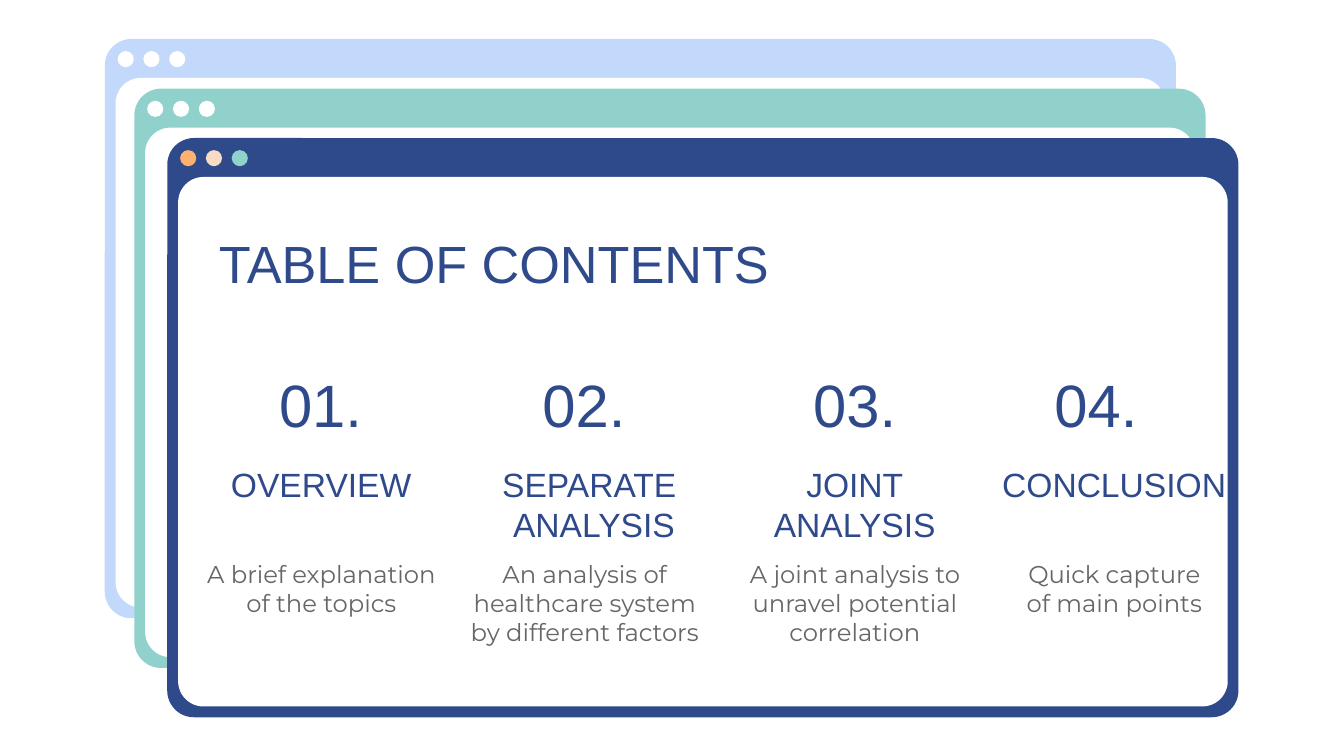
import dataclasses
import pptx
import pptx.util
import pptx.dml.color
import pptx.enum.shapes
import pptx.enum.text

# Grid: 100 columns by 56.25 rows of square cells
CELL = pptx.util.Inches(0.1)
COLS, ROWS = 100, 56.25


@dataclasses.dataclass(frozen=True)
class Theme:
    navy: str = "2F4A8A"
    teal: str = "90D1CB"
    sky: str = "C3D9FB"
    white: str = "FFFFFF"
    amber: str = "FFB172"
    peach: str = "F8DBC4"
    gray: str = "666666"
    sans: str = "Arial"
    body: str = "Montserrat"
    title: int = 28
    number: int = 32
    head: int = 18
    note: int = 13


THEME = Theme()
SHAPE = pptx.enum.shapes.MSO_SHAPE
ALIGN = pptx.enum.text.PP_ALIGN

# Left and top of each window, frame colour, dot colours
WINDOWS = [
    (7.8, 2.9, THEME.sky, [THEME.white] * 3),
    (10, 6.6, THEME.teal, [THEME.white] * 3),
    (12.45, 10.27, THEME.navy, [THEME.amber, THEME.peach, THEME.teal]),
]

# Middle and width of number, heading and note, with their words
TOPICS = [
    ("01.", 23.85, ["OVERVIEW"], 23.9, 20.8,
     "A brief explanation of the topics", 23.9, 20.8),
    ("02.", 43.45, ["SEPARATE ", "ANALYSIS"], 44.2, 26.4,
     "An analysis of healthcare system by different factors", 43.5, 20.8),
    ("03.", 63.6, ["JOINT", "ANALYSIS"], 63.6, 24.2,
     "A joint analysis to unravel potential correlation", 63.6, 20.8),
    ("04.", 81.55, ["CONCLUSION"], 82.9, 24.2,
     "Quick capture of main points", 82.9, 16.4),
]


def span(*cells):
    return [round(n * CELL) for n in cells]


def tint(code):
    return pptx.dml.color.RGBColor.from_string(code)


def add_form(group, kind, box, color, curve=None):
    form = group.shapes.add_shape(kind, *span(*box))
    form.shadow.inherit = False
    form.fill.solid()
    form.fill.fore_color.rgb = tint(color)
    form.line.fill.background()
    if curve is not None:
        form.adjustments[0] = curve


def add_window(slide, left, top, color, dots):
    group = slide.shapes.add_group_shape()
    add_form(group, SHAPE.ROUNDED_RECTANGLE,
             (left, top, 79.7, 43.1), color, 0.046)
    add_form(group, SHAPE.ROUNDED_RECTANGLE,
             (left + 0.8, top + 2.9, 78.1, 39.4), THEME.white, 0.048)
    for i, dot in enumerate(dots):
        add_form(group, SHAPE.OVAL,
                 (left + 0.95 + 1.92 * i, top + 0.9, 1.2, 1.2), dot)


def add_text(slide, box, lines, size, color=THEME.navy, font=THEME.sans,
             align=ALIGN.CENTER, after=0):
    frame = slide.shapes.add_textbox(*span(*box)).text_frame
    frame.word_wrap = True
    frame.vertical_anchor = pptx.enum.text.MSO_ANCHOR.TOP
    frame.margin_left = frame.margin_right = CELL
    frame.margin_top = frame.margin_bottom = CELL
    for i, line in enumerate(lines):
        para = frame.add_paragraph() if i else frame.paragraphs[0]
        para.alignment = align
        para.line_spacing = 1.0
        para.space_after = pptx.util.Pt(after)
        run = para.add_run()
        run.text = line
        run.font.name = font
        run.font.size = pptx.util.Pt(size)
        run.font.color.rgb = tint(color)


def add_topic(slide, number, mid, head, head_mid, head_wide,
              note, note_mid, note_wide):
    add_text(slide, (mid - 4.95, 26.4, 9.9, 6.4), [number], THEME.number)
    add_text(slide, (head_mid - head_wide / 2, 33.5, head_wide, 5.1),
             head, THEME.head)
    add_text(slide, (note_mid - note_wide / 2, 40.6, note_wide, 10.9),
             [note], THEME.note, THEME.gray, THEME.body, after=12)


def main():
    deck = pptx.Presentation()
    deck.slide_width, deck.slide_height = span(COLS, ROWS)
    slide = deck.slides.add_slide(deck.slide_layouts[6])

    # Stacked windows, back to front
    for window in WINDOWS:
        add_window(slide, *window)

    # Title and topics
    add_text(slide, (15.3, 16.2, 74.4, 5.1), ["TABLE OF CONTENTS"],
             THEME.title, align=ALIGN.LEFT)
    for topic in TOPICS:
        add_topic(slide, *topic)

    deck.save("out.pptx")


if __name__ == "__main__":
    main()
